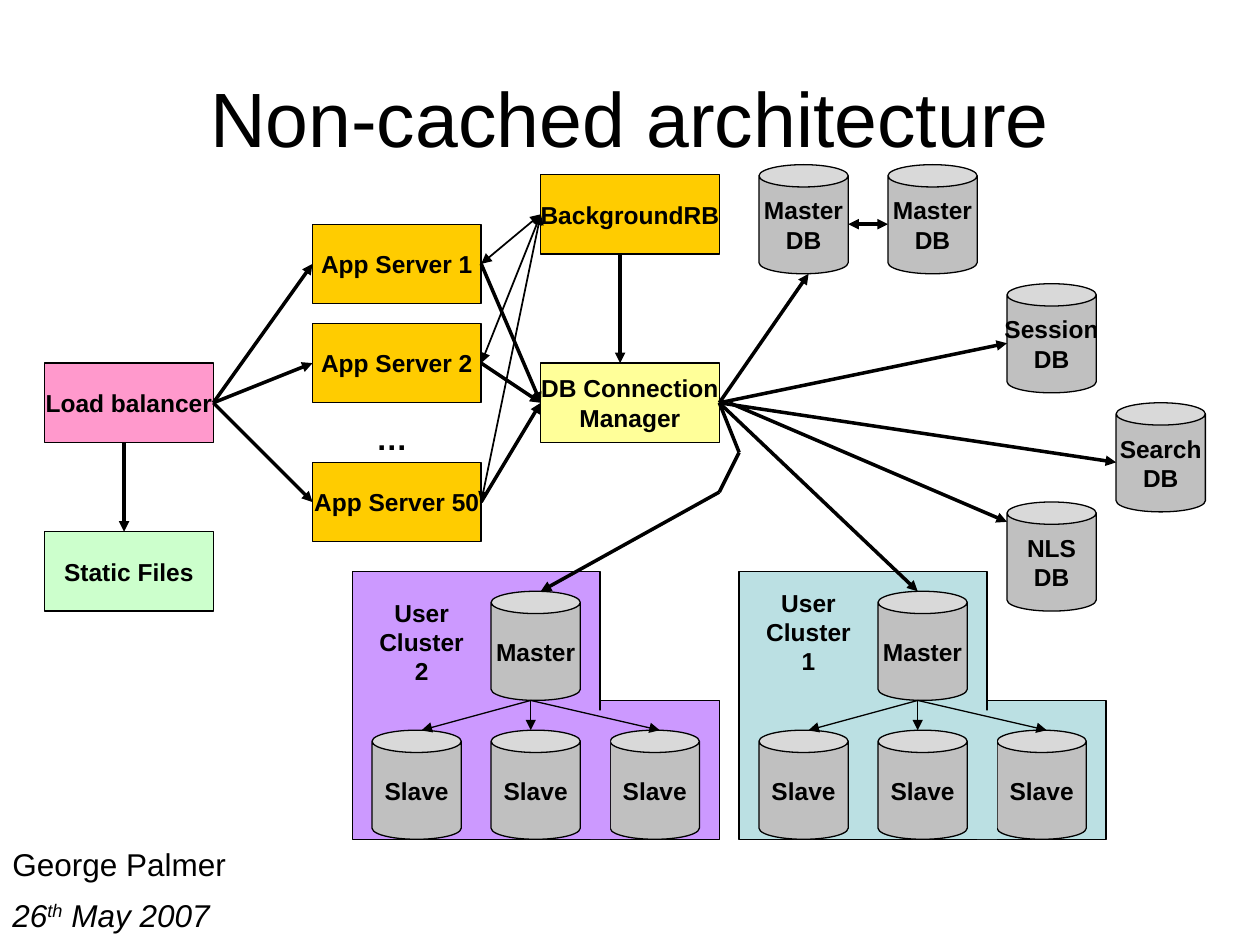
import pptx
import pptx.dml.color
import pptx.enum.shapes
import pptx.enum.text
import pptx.oxml
import pptx.oxml.ns
import pptx.util

Cm = pptx.util.Cm
SHAPES = pptx.enum.shapes.MSO_SHAPE
ALIGN = pptx.enum.text.PP_ALIGN
ANCHOR = pptx.enum.text.MSO_ANCHOR
TOP, LEFT, BOTTOM, RIGHT = range(4)
CAN_WIDTH, CAN_HEIGHT = 1.8, 2.2
BOX_HEIGHT = 1.6


def color(hex_string):
    return pptx.dml.color.RGBColor.from_string(hex_string)


def write(frame, text, size=14, bold=False, italic=False, align=ALIGN.CENTER, superscript=None):
    for index, line in enumerate(text.split("\n")):
        paragraph = frame.add_paragraph() if index else frame.paragraphs[0]
        paragraph.alignment = align
        for piece in line.partition(superscript) if superscript else [line]:
            run = paragraph.add_run()
            run.text = piece
            run.font.name = "Arial"
            run.font.size = pptx.util.Pt(size)
            run.font.bold = bold
            run.font.italic = italic
            run.font.color.rgb = color("000000")
            if piece == superscript:
                run.font._element.set("baseline", "30000")


class Diagram:
    ink = "000000"
    can_fill = "C0C0C0"
    thin, medium, thick = 0.75, 1, 2

    def __init__(self, slide):
        self.slide = slide

    def shape(self, kind, left, top, width, height, fill, text=None, outlined=True):
        shape = self.slide.shapes.add_shape(kind, Cm(left), Cm(top), Cm(width), Cm(height))
        shape.shadow.inherit = False
        shape.fill.solid()
        shape.fill.fore_color.rgb = color(fill)
        if outlined:
            shape.line.color.rgb = color(self.ink)
            shape.line.width = pptx.util.Pt(self.thin)
        else:
            shape.line.fill.background()
        if text:
            shape.text_frame.word_wrap = False
            shape.text_frame.vertical_anchor = ANCHOR.MIDDLE
            write(shape.text_frame, text, bold=True)
        return shape

    def box(self, text, left, top, fill, width=3.4):
        return self.shape(SHAPES.RECTANGLE, left, top, width, BOX_HEIGHT, fill, text)

    def panel(self, left, top, width, height, fill, outlined=True):
        return self.shape(SHAPES.RECTANGLE, left, top, width, height, fill, outlined=outlined)

    def database(self, text, left, top):
        return self.shape(SHAPES.CAN, left, top, CAN_WIDTH, CAN_HEIGHT, self.can_fill, text)

    def label(self, text, left, top, width, height, anchor=ANCHOR.TOP, **text_format):
        shape = self.slide.shapes.add_textbox(Cm(left), Cm(top), Cm(width), Cm(height))
        shape.text_frame.word_wrap = True
        shape.text_frame.vertical_anchor = anchor
        write(shape.text_frame, text, **text_format)

    def arrow(self, start, end, width=thick, head=False, tail=True):
        connector = self.slide.shapes.add_connector(pptx.enum.shapes.MSO_CONNECTOR.STRAIGHT, 0, 0, 0, 0)
        if hasattr(start[0], "shape_id"):
            connector.begin_connect(*start)
        else:
            connector.begin_x, connector.begin_y = map(Cm, start)
        if hasattr(end[0], "shape_id"):
            connector.end_connect(*end)
        else:
            connector.end_x, connector.end_y = map(Cm, end)
        connector.line.color.rgb = color(self.ink)
        connector.line.width = pptx.util.Pt(width)
        line = connector.line._get_or_add_ln()
        for tag, wanted in (("a:headEnd", head), ("a:tailEnd", tail)):
            if wanted:
                tip = pptx.oxml.parse_xml(f'<{tag} {pptx.oxml.ns.nsdecls("a")} type="triangle"/>')
                line.append(tip)
        effects = pptx.oxml.parse_xml(f'<a:effectLst {pptx.oxml.ns.nsdecls("a")}/>')
        connector._element.spPr.append(effects)

    def cluster(self, name, left, fill, label_top):
        top, master_top, step_top, slave_top = 11.52, 11.92, 14.12, 14.72
        self.panel(left + 5, step_top, 2.4, 2.8, fill)
        self.panel(left, top, 5, 5.4, fill)
        self.database("Master", left + 2.8, master_top)
        for column in reversed(range(3)):
            self.database("Slave", left + 0.4 + 2.4 * column, slave_top)
        self.panel(left + 4.8, step_top + 0.2, 0.4, 2.6, fill, outlined=False)
        for offset in (1.4, 6.2, 3.6):
            self.arrow((left + 3.6, step_top), (left + offset, slave_top), self.thin)
        self.label(name, left + 0.2, label_top, 2.4, 2.03, bold=True)


def main():
    presentation = pptx.Presentation()
    presentation.slide_width = Cm(25.4)
    presentation.slide_height = Cm(19.05)
    diagram = Diagram(presentation.slides.add_slide(presentation.slide_layouts[6]))

    diagram.label("George Palmer", 0, 16.92, 9.9, 1.02, size=18, align=ALIGN.LEFT)
    diagram.label("26th May 2007", 0, 17.93, 6.1, 1.02, size=18, italic=True,
                  align=ALIGN.LEFT, superscript="th")
    diagram.label("Non-cached architecture", 1.27, 0.76, 22.86, 3.18, ANCHOR.MIDDLE, size=44)

    balancer = diagram.box("Load balancer", 0.9, 7.32, "FF99CC")
    manager = diagram.box("DB Connection\nManager", 10.9, 7.32, "FFFF99", 3.6)
    servers = [diagram.box(f"App Server {number}", 6.3, top, "FFCC00")
               for number, top in ((1, 4.52), (2, 6.52), (50, 9.32))]
    diagram.label("…", 6.7, 8.33, 2.4, 1.02, size=18, bold=True)
    for server in servers:
        diagram.arrow((balancer, RIGHT), (server, LEFT))
        diagram.arrow((server, RIGHT), (manager, LEFT))

    for name, left, top in (("Master", 15.3, 3.32), ("Master", 17.9, 3.32), ("Session", 20.3, 5.72),
                            ("Search", 22.5, 8.12), ("NLS", 20.3, 10.12)):
        diagram.database(f"{name}\nDB", left, top)

    diagram.cluster("User Cluster 1", 14.9, "BBE0E3", 11.72)
    diagram.cluster("User Cluster 2", 7.1, "CC99FF", 11.92)

    for target in ((16.3, 5.52), (20.3, 6.92), (22.5, 9.32), (18.5, 11.92)):
        diagram.arrow((manager, RIGHT), target)
    diagram.arrow((14.7, 8.12), (20.3, 10.52))
    diagram.arrow((17.1, 4.52), (17.9, 4.52), head=True)
    diagram.arrow((manager, RIGHT), (14.9, 9.12), tail=False)
    diagram.arrow((14.9, 9.12), (14.5, 9.92), tail=False)
    diagram.arrow((14.5, 9.92), (10.9, 11.92))

    diagram.box("Static Files", 0.9, 10.72, "CCFFCC")
    diagram.arrow((2.5, 8.92), (2.5, 10.72))
    background = diagram.box("BackgroundRB", 10.9, 3.52, "FFCC00", 3.6)
    for server in servers:
        diagram.arrow((server, RIGHT), (background, LEFT), diagram.medium, head=True)
    diagram.arrow((12.5, 5.12), (12.5, 7.32))

    presentation.save("out.pptx")


if __name__ == "__main__":
    main()
